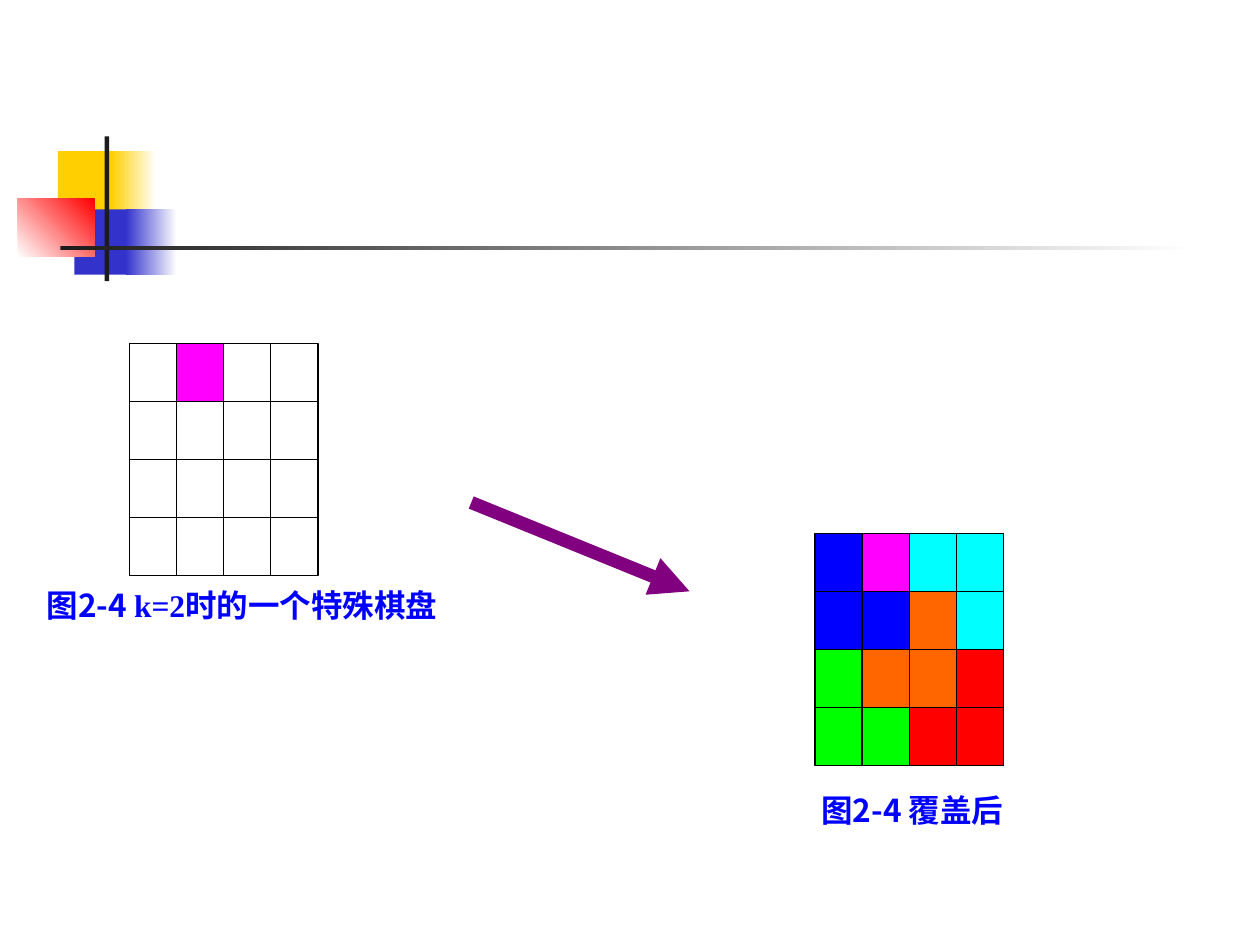
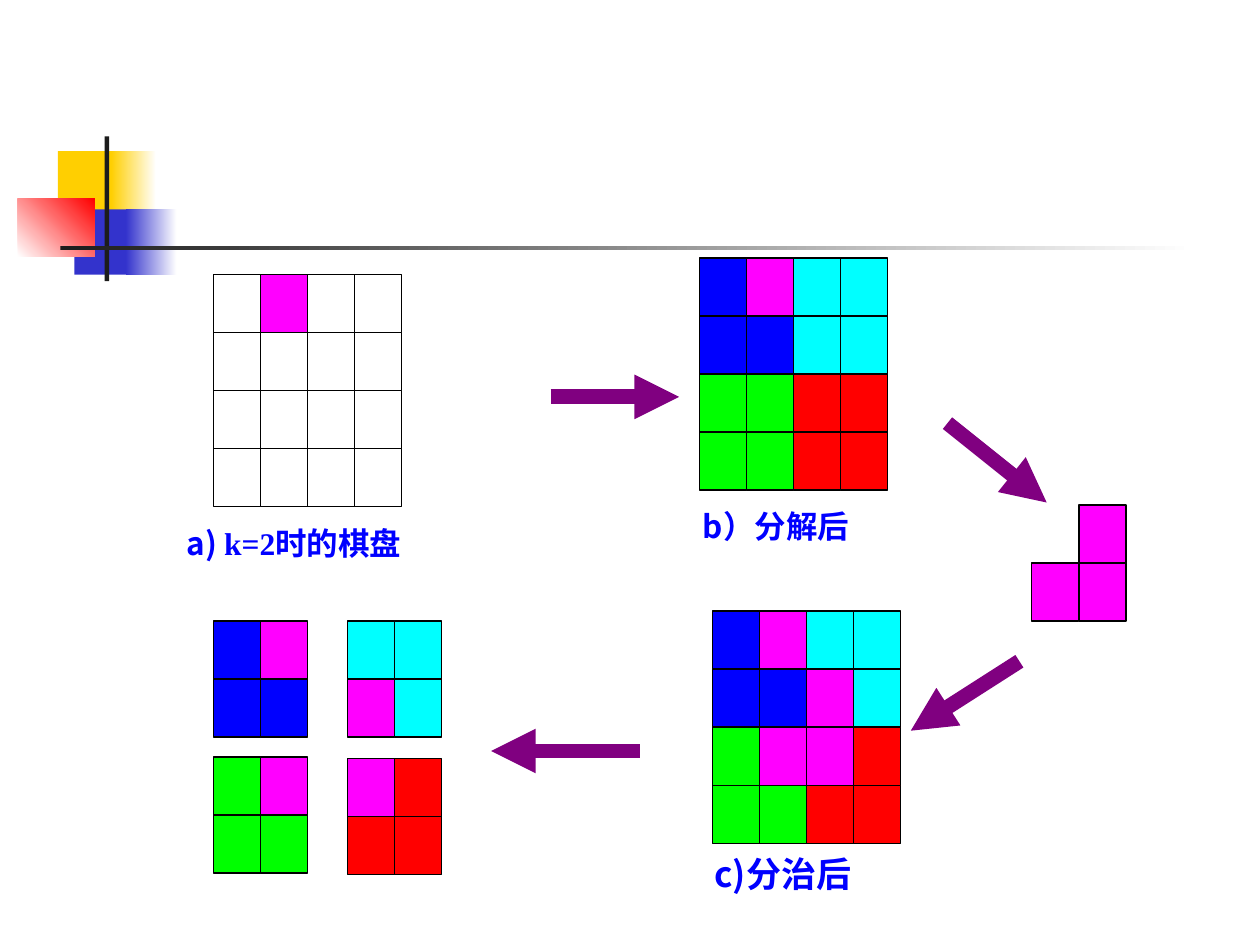
from lxml import etree
from pptx import Presentation
from pptx import util as u
from pptx.dml.color import RGBColor
from pptx.enum import shapes
from pptx.oxml.ns import qn

WHITE = RGBColor(0xFF, 0xFF, 0xFF)
BLACK = RGBColor(0x00, 0x00, 0x00)
BLUE = RGBColor(0x00, 0x00, 0xFF)
CYAN = RGBColor(0x00, 0xFF, 0xFF)
GREEN = RGBColor(0x00, 0xFF, 0x00)
RED = RGBColor(0xFF, 0x00, 0x00)
PINK = RGBColor(0xFF, 0x00, 0xFF)
ORANGE = RGBColor(0xFF, 0x66, 0x00)
PURPLE = RGBColor(0x80, 0x00, 0x80)
GOLD = RGBColor(0xFF, 0xCF, 0x01)
NAVY = RGBColor(0x33, 0x33, 0xCC)
DARK = RGBColor(0x1C, 0x1C, 0x1C)

HAN = "Noto Sans CJK SC"
ROMAN = "Times New Roman"
TINTS = dict(W=WHITE, B=BLUE, C=CYAN, G=GREEN, R=RED, M=PINK, O=ORANGE)
CELL_W, CELL_H = 0.95, 1.17


def block(page, left, top, wide, high, tint, fade=None, angle=0):
    """Add a rectangle without line; with fade, its fill runs from tint to fade."""
    box = page.shapes.add_shape(shapes.MSO_SHAPE.RECTANGLE, u.Cm(left), u.Cm(top),
                                u.Cm(wide), u.Cm(high))
    box.shadow.inherit = False
    box.line.fill.background()
    if fade is None:
        box.fill.solid()
        box.fill.fore_color.rgb = tint
    else:
        box.fill.gradient()
        box.fill.gradient_angle = angle
        for stop, shade in zip(box.fill.gradient_stops, (tint, fade)):
            stop.color.rgb = shade
    return box


deck = Presentation()
deck.slide_width, deck.slide_height = u.Cm(25.4), u.Cm(19.05)

# Title band shared by all slides: left, top, width, height, colour, fade, angle
band = [
    (1.17, 3.05, 1.22, 1.32, GOLD),
    (2.24, 3.05, 0.91, 1.32, GOLD, WHITE),
    (1.5, 4.22, 1.17, 1.32, NAVY),
    (2.54, 4.22, 1.02, 1.32, NAVY, WHITE),
    (0.36, 4.01, 1.55, 1.17, WHITE, RED, 45),
    (2.11, 2.75, 0.09, 2.92, DARK),
    (1.22, 4.95, 22.86, 0.09, DARK, WHITE),
]
pages = []
for _ in range(2):
    page = deck.slides.add_slide(deck.slide_layouts[6])
    for part in band:
        block(page, *part)
    pages.append(page)
first, second = pages

# Boards: one letter per cell, a dot where there is none
start = "WMWW WWWW WWWW WWWW"
boards = [
    (first, 2.61, 6.93, start),
    (first, 16.43, 10.75, "BMCC BBOC GOOR GGRR"),
    (second, 4.3, 5.53, start),
    (second, 14.1, 5.2, "BMCC BBCC GGRR GGRR"),
    (second, 20.8, 10.18, ".M MM"),
    (second, 14.36, 12.32, "BMCC BBMC GMMR GGRR"),
    (second, 4.3, 12.52, "BM BB"),
    (second, 7.0, 12.52, "CC MC"),
    (second, 4.3, 15.26, "GM GG"),
    (second, 7.0, 15.29, "MR RR"),
]
for page, left, top, rows in boards:
    for row, marks in enumerate(rows.split()):
        for col, mark in enumerate(marks):
            if mark == ".":
                continue
            cell = block(page, left + col * CELL_W, top + row * CELL_H,
                         CELL_W, CELL_H, TINTS[mark])
            cell.line.color.rgb = BLACK
            cell.line.width = u.Pt(0.75)

# Arrows: from x, y to x, y, then line width
arrows = [
    (first, 9.5, 10.13, 13.9, 11.92, 7.5),
    (second, 11.1, 8.0, 13.69, 8.0, 8.5),
    (second, 19.1, 8.53, 21.1, 10.13, 8.5),
    (second, 20.55, 13.33, 18.36, 14.73, 8.5),
    (second, 12.9, 15.14, 9.9, 15.14, 8.5),
]
for page, *ends, width in arrows:
    arrow = page.shapes.add_connector(shapes.MSO_CONNECTOR.STRAIGHT, *map(u.Cm, ends))
    arrow.line.color.rgb = PURPLE
    arrow.line.width = u.Pt(width)
    etree.SubElement(arrow.line._get_or_add_ln(), qn("a:tailEnd"), type="triangle")
    etree.SubElement(arrow._element.spPr, qn("a:effectLst"))

# Captions: left, top, width, height, size, line spacing, runs
captions = [
    (first, 0.69, 11.38, 10.19, 1.32, 18, 1.4,
     [("图2-4 ", HAN), ("k=2", ROMAN), ("时的一个特殊棋盘", HAN)]),
    (first, 16.31, 15.52, 5.38, 1.32, 18, 1.4, [("图2-4 覆盖后", HAN)]),
    (second, 3.51, 10.13, 5.99, 1.32, 18, 1.4,
     [("a) ", HAN), ("k=2", ROMAN), ("时的棋盘", HAN)]),
    (second, 13.92, 9.8, 4.57, 1.32, 18, 1.4, [("b）分解后", HAN)]),
    (second, 14.15, 17.07, 3.63, 1.12, 20, 1.0, [("c)分治后", HAN)]),
]
for page, left, top, wide, high, size, pitch, runs in captions:
    label = page.shapes.add_textbox(u.Cm(left), u.Cm(top), u.Cm(wide), u.Cm(high))
    label.text_frame.word_wrap = True
    para = label.text_frame.paragraphs[0]
    para.line_spacing = pitch
    for words, face in runs:
        run = para.add_run()
        run.text = words
        run.font.size = u.Pt(size)
        run.font.bold = True
        run.font.color.rgb = BLUE
        run.font.name = face
        etree.SubElement(run.font._element, qn("a:ea"), typeface=face)

deck.save("out.pptx")
